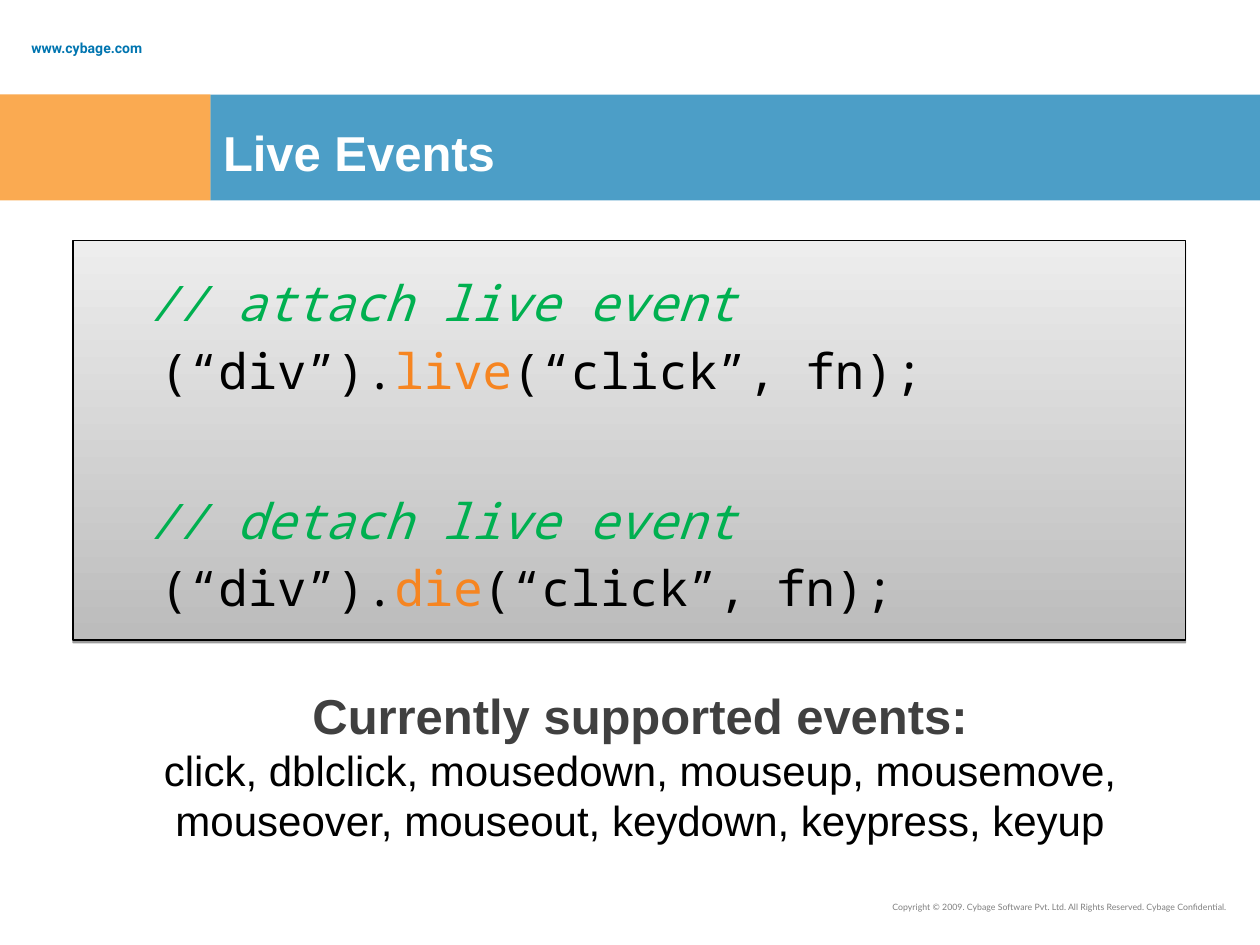
import pptx
import pptx.dml.color
import pptx.enum.shapes
import pptx.enum.text
import pptx.oxml
import pptx.oxml.ns
import pptx.util
from pptx.util import Inches

COLORS = {
    "white": "FFFFFF",
    "black": "000000",
    "blue": "0075B0",
    "orange": "F88608",
    "comment": "00B050",
    "method": "F68521",
    "heading": "404040",
    "footer": "7F7F7F",
    "panel_bottom": "BCBCBC",
    "panel_top": "EDEDED",
}
ALIGN = pptx.enum.text.PP_ALIGN
ANCHOR = pptx.enum.text.MSO_ANCHOR


def color(name):
    """Return the named palette colour."""
    return pptx.dml.color.RGBColor.from_string(COLORS[name])


def style(font, size, name, tint, bold=False):
    """Set the size, typeface, colour and weight of a font."""
    font.size = pptx.util.Pt(size)
    font.name = name
    font.color.rgb = color(tint)
    font.bold = bold


def fill_band(shape, tint):
    """Give a shape a 70 % opaque fill and no line."""
    shape.fill.solid()
    shape.fill.fore_color.rgb = color(tint)
    shape.line.fill.background()
    value = shape.fill._xPr.find(".//" + pptx.oxml.ns.qn("a:srgbClr"))
    value.append(pptx.oxml.parse_xml(
        f'<a:alpha {pptx.oxml.ns.nsdecls("a")} val="70000"/>'))


def add_rectangle(page, box):
    """Add a rectangle without the theme shadow."""
    shape = page.shapes.add_shape(
        pptx.enum.shapes.MSO_SHAPE.RECTANGLE, *map(Inches, box))
    shape.shadow.inherit = False
    return shape


def add_label(page, box, align=ALIGN.LEFT, anchor=ANCHOR.TOP):
    """Add a wrapping text box and return its first paragraph."""
    frame = page.shapes.add_textbox(*map(Inches, box)).text_frame
    frame.word_wrap = True
    frame.vertical_anchor = anchor
    para = frame.paragraphs[0]
    para.alignment = align
    return para


def add_header(page, box, accent_width):
    """Place the accent block and the title band side by side."""
    left, top, width, height = box
    title = page.shapes.title
    title.left, title.top = Inches(left + accent_width), Inches(top)
    title.width, title.height = Inches(width - accent_width), Inches(height)
    fill_band(title, "blue")
    frame = title.text_frame
    frame.auto_size = pptx.enum.text.MSO_AUTO_SIZE.NONE
    frame.vertical_anchor = ANCHOR.MIDDLE
    para = frame.paragraphs[0]
    para.text = "Live Events"
    para.alignment = ALIGN.LEFT
    para.line_spacing = 1.15
    style(para.font, 28, "Arial", "white", bold=True)
    fill_band(add_rectangle(page, (left, top, accent_width, height)), "orange")


def add_code_panel(page, box, snippets):
    """Place the shaded panel with one paragraph per snippet."""
    panel = add_rectangle(page, box)
    panel.fill.gradient()
    panel.fill.gradient_angle = 90
    for stop, tint in zip(panel.fill.gradient_stops, ("panel_bottom", "panel_top")):
        stop.color.rgb = color(tint)
    panel.line.color.rgb = color("black")
    panel.line.width = pptx.util.Pt(0.75)
    effects = panel._element.spPr.find(pptx.oxml.ns.qn("a:effectLst"))
    effects.append(pptx.oxml.parse_xml(
        f'<a:outerShdw {pptx.oxml.ns.nsdecls("a")} blurRad="0" dist="20320" '
        'dir="5400000" rotWithShape="0"><a:srgbClr val="000000">'
        '<a:alpha val="38000"/></a:srgbClr></a:outerShdw>'))

    frame = panel.text_frame
    frame.word_wrap = True
    frame.vertical_anchor = ANCHOR.MIDDLE
    for index, (comment, method) in enumerate(snippets):
        para = frame.add_paragraph() if index else frame.paragraphs[0]
        para.alignment = ALIGN.LEFT
        para.line_spacing = 1.15
        para.space_after = pptx.util.Pt(7)
        if index:
            para.space_before = pptx.util.Pt(40)
        properties = para._p.get_or_add_pPr()
        properties.set("marL", str(Inches(0.59)))
        properties.set("indent", str(Inches(-0.09)))
        parts = ((comment, "comment"), ("(“div”).", "black"),
                 (method, "method"), ("(“click”, fn);", "black"))
        for text, tint in parts:
            span = para.add_run()
            span.text = text
            style(span.font, 28, "Noto Sans Mono", tint)
            span.font.italic = tint == "comment"
            if tint == "comment":
                para.add_line_break()


def add_event_list(page, box, heading, events):
    """Place the centred heading and the event names below it."""
    para = add_label(page, box, ALIGN.CENTER)
    para.text = heading
    style(para.font, 28, "Arial", "heading", bold=True)
    names = para._parent.add_paragraph()
    names.text = ", ".join(events)
    names.alignment = ALIGN.CENTER
    style(names.font, 24, "Arial", "black")


def add_margins(page, address_box, copyright_box):
    """Place the web address and the copyright line."""
    address = add_label(page, address_box, anchor=ANCHOR.MIDDLE)
    address.text = "www.cybage.com"
    address.line_spacing = 1.5
    style(address.font, 8, "Roboto", "blue", bold=True)
    notice = add_label(page, copyright_box, ALIGN.RIGHT)
    notice.text = ("Copyright © 2009. Cybage Software Pvt. Ltd. "
                   "All Rights Reserved. Cybage Confidential.")
    style(notice.font, 5, "Lato", "footer")


def main():
    """Build the slide and save the deck."""
    deck = pptx.Presentation()
    deck.slide_width, deck.slide_height = Inches(10), Inches(7.5)
    page = deck.slides.add_slide(deck.slide_layouts.get_by_name("Title Only"))
    add_margins(page, (0.15, 0.25, 1.5, 0.19), (6.32, 7.11, 3.52, 0.26))
    add_header(page, (0, 0.75, 10, 0.84), 1.67)
    add_code_panel(page, (0.58, 1.91, 8.83, 3.17), (
        ("// attach live event", "live"),
        ("// detach live event", "die"),
    ))
    add_event_list(page, (0.83, 5.39, 8.5, 1.5), "Currently supported events:", (
        "click", "dblclick", "mousedown", "mouseup", "mousemove",
        "mouseover", "mouseout", "keydown", "keypress", "keyup",
    ))
    deck.save("out.pptx")


if __name__ == "__main__":
    main()
